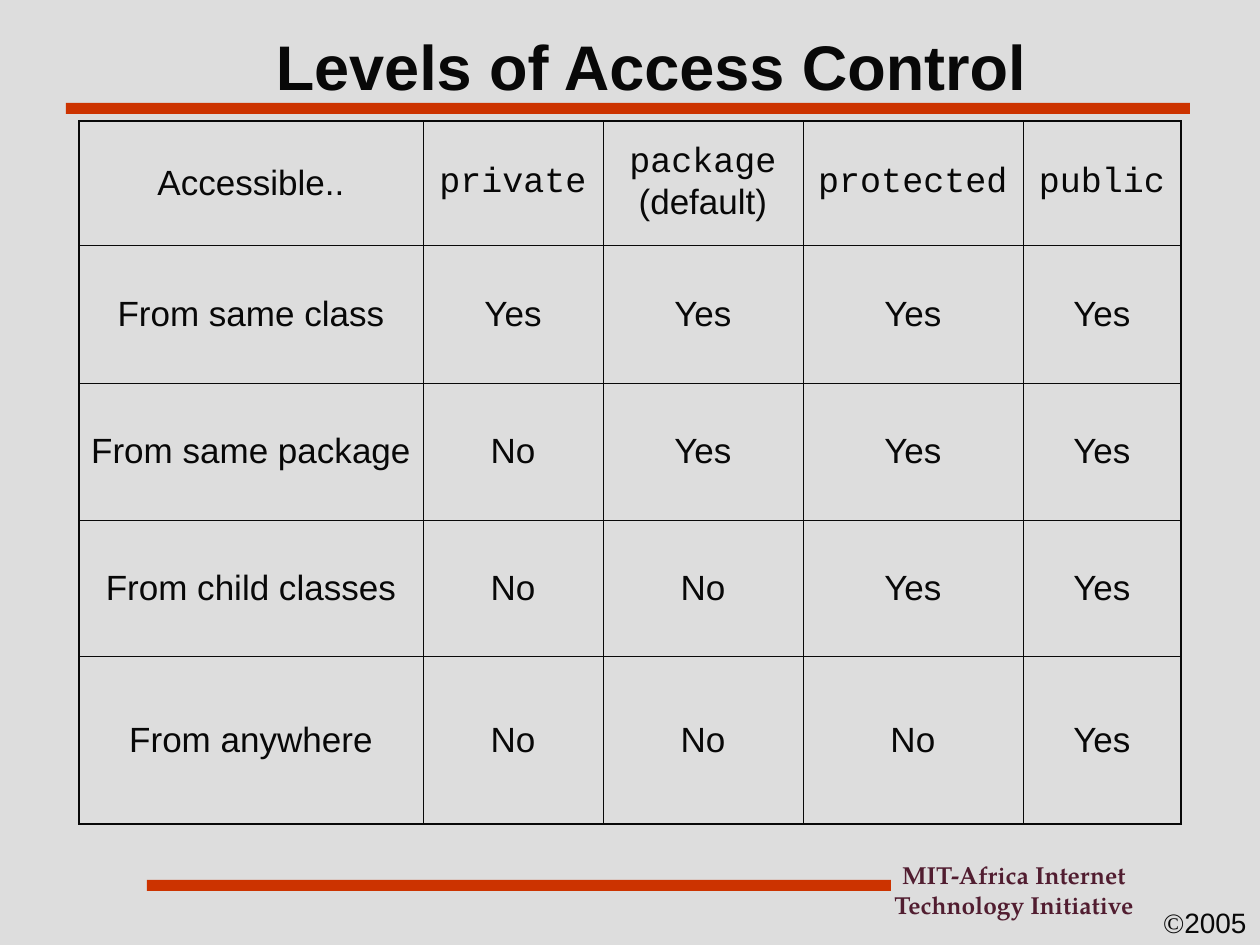
import pptx
import pptx.dml.color
import pptx.enum.shapes
import pptx.enum.text
import pptx.oxml
import pptx.oxml.ns
import pptx.util

PX = 914400 / 126
INK = pptx.dml.color.RGBColor(0x08, 0x08, 0x08)
PLUM = pptx.dml.color.RGBColor(0x51, 0x1D, 0x30)
RUST = pptx.dml.color.RGBColor(0xCC, 0x33, 0x00)
GRAY = pptx.dml.color.RGBColor(0xDD, 0xDD, 0xDD)
CENTER = pptx.enum.text.PP_ALIGN.CENTER
LEFT = pptx.enum.text.PP_ALIGN.LEFT
MIDDLE = pptx.enum.text.MSO_ANCHOR.MIDDLE
SIDE_MARGIN = 12

TITLE = "Levels of Access Control"
TITLE_AREA = (89, 21, 1124, 88)
TITLE_FORMAT = {"name": "Arial", "size": 36, "bold": True, "color": INK}

RULES = [(66, 103, 1124, 11), (147, 880, 744, 11)]

FOOTER = "MIT-Africa Internet Technology Initiative"
FOOTER_AREA = (828, 854, 372, 72)
FOOTER_FORMAT = {"name": "TeX Gyre Pagella", "size": 14, "bold": True, "color": PLUM}

YEAR_AREA = (1151, 899, 109, 46)
YEAR_FORMAT = {"name": "Arial", "size": 16, "color": INK}
SIGN_FORMAT = {**YEAR_FORMAT, "name": "Times New Roman"}

WORD_FORMAT = {"name": "Arial", "size": 20, "color": INK}
CODE_FORMAT = {**WORD_FORMAT, "name": "Courier New"}
KEYWORDS = {"private", "package", "protected", "public"}
ACCESS = [
    ["Accessible..", "private", "package\n(default)", "protected", "public"],
    ["From same class", "Yes", "Yes", "Yes", "Yes"],
    ["From same package", "No", "Yes", "Yes", "Yes"],
    ["From child classes", "No", "No", "Yes", "Yes"],
    ["From anywhere", "No", "No", "No", "Yes"],
]
TABLE_CORNER = (79, 121)
COLUMN_WIDTHS = [344, 180, 200, 220, 158]
ROW_HEIGHTS = [124, 138, 137, 137, 167]
INNER_LINE, OUTER_LINE = 0.45, 1.08


def emu(px):
    return round(px * PX)


def write(para, runs, alignment):
    para.alignment = alignment
    for text, format_values in runs:
        span = para.add_run()
        span.text = text
        for key, value in format_values.items():
            if key == "color":
                span.font.color.rgb = value
            else:
                setattr(span.font, key, pptx.util.Pt(value) if key == "size" else value)


def add_text(page, area, runs, alignment, wrap):
    box = page.shapes.add_textbox(*map(emu, area))
    frame = box.text_frame
    frame.word_wrap = wrap
    frame.auto_size = pptx.enum.text.MSO_AUTO_SIZE.SHAPE_TO_FIT_TEXT
    frame.margin_left = frame.margin_right = emu(SIDE_MARGIN)
    write(frame.paragraphs[0], runs, alignment)


def add_rule(page, area):
    rule = page.shapes.add_shape(pptx.enum.shapes.MSO_SHAPE.RECTANGLE, *map(emu, area))
    rule.shadow.inherit = False
    rule.fill.solid()
    rule.fill.fore_color.rgb = RUST
    rule.line.fill.background()


def set_borders(cell, outer_sides):
    properties = cell._tc.get_or_add_tcPr()
    for index, (side, is_outer) in enumerate(outer_sides.items()):
        width = pptx.util.Pt(OUTER_LINE if is_outer else INNER_LINE)
        border = pptx.oxml.parse_xml(
            f'<a:ln{side} {pptx.oxml.ns.nsdecls("a")} w="{width}"><a:solidFill>'
            f'<a:srgbClr val="{INK}"/></a:solidFill></a:ln{side}>'
        )
        properties.insert(index, border)


def add_access_table(page):
    row_count, column_count = len(ROW_HEIGHTS), len(COLUMN_WIDTHS)
    size = (sum(COLUMN_WIDTHS), sum(ROW_HEIGHTS))
    frame = page.shapes.add_table(row_count, column_count, *map(emu, TABLE_CORNER + size))
    table = frame.table
    table.first_row = table.horz_banding = False
    for column, width in zip(table.columns, COLUMN_WIDTHS):
        column.width = emu(width)
    for row, height in zip(table.rows, ROW_HEIGHTS):
        row.height = emu(height)
    for r, labels in enumerate(ACCESS):
        for c, label in enumerate(labels):
            cell = table.cell(r, c)
            cell.vertical_anchor = MIDDLE
            cell.margin_left = cell.margin_right = emu(SIDE_MARGIN)
            cell.fill.background()
            set_borders(cell, {
                "L": c == 0,
                "R": c == column_count - 1,
                "T": r == 0,
                "B": r == row_count - 1,
            })
            for index, line in enumerate(label.split("\n")):
                para = cell.text_frame.add_paragraph() if index else cell.text_frame.paragraphs[0]
                write(para, [(line, CODE_FORMAT if line in KEYWORDS else WORD_FORMAT)], CENTER)


def add_title(page):
    title = page.shapes.title
    title.left, title.top, title.width, title.height = map(emu, TITLE_AREA)
    title.text_frame.auto_size = pptx.enum.text.MSO_AUTO_SIZE.NONE
    title.text_frame.vertical_anchor = MIDDLE
    write(title.text_frame.paragraphs[0], [(TITLE, TITLE_FORMAT)], CENTER)


def main():
    deck = pptx.Presentation()
    deck.slide_width, deck.slide_height = emu(1260), emu(945)
    page = deck.slides.add_slide(deck.slide_layouts.get_by_name("Title Only"))
    page.background.fill.solid()
    page.background.fill.fore_color.rgb = GRAY
    add_text(page, YEAR_AREA, [("©", SIGN_FORMAT), ("2005", YEAR_FORMAT)], LEFT, False)
    add_text(page, FOOTER_AREA, [(FOOTER, FOOTER_FORMAT)], CENTER, True)
    for area in RULES:
        add_rule(page, area)
    add_title(page)
    add_access_table(page)
    deck.save("out.pptx")


if __name__ == "__main__":
    main()
